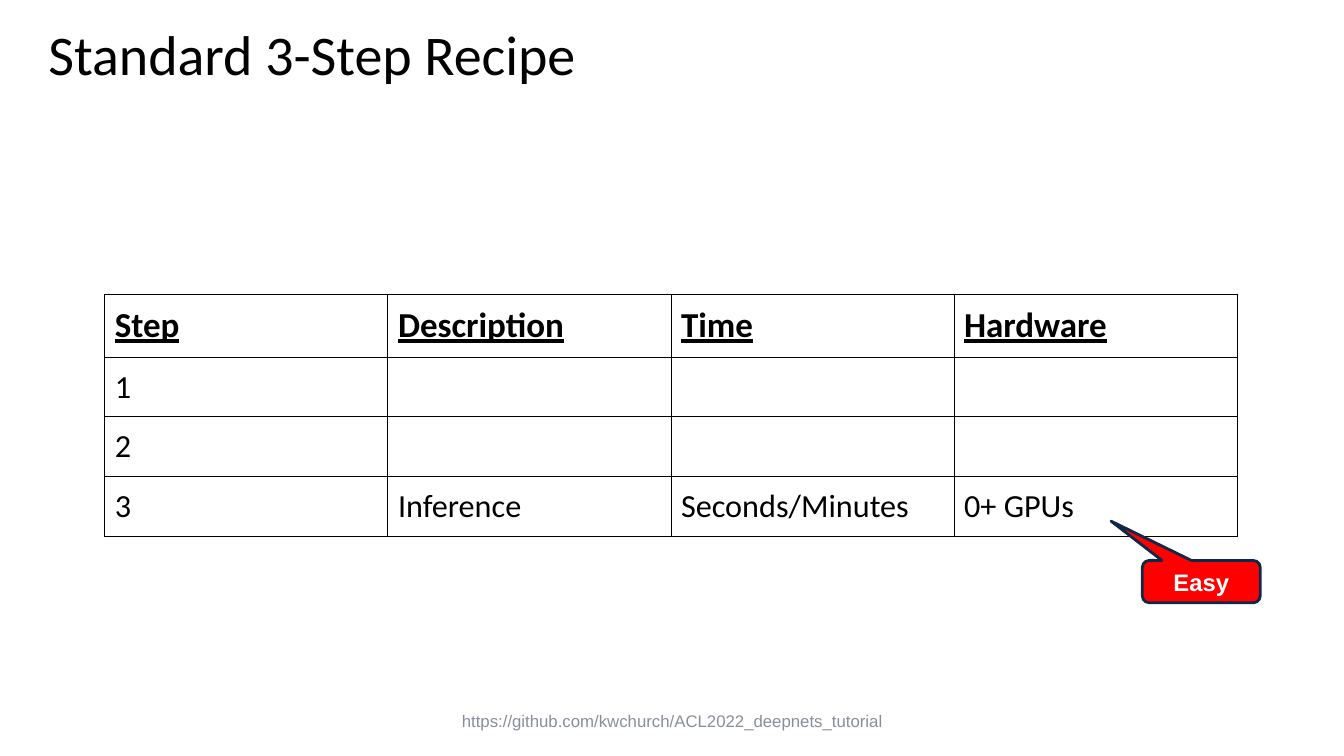
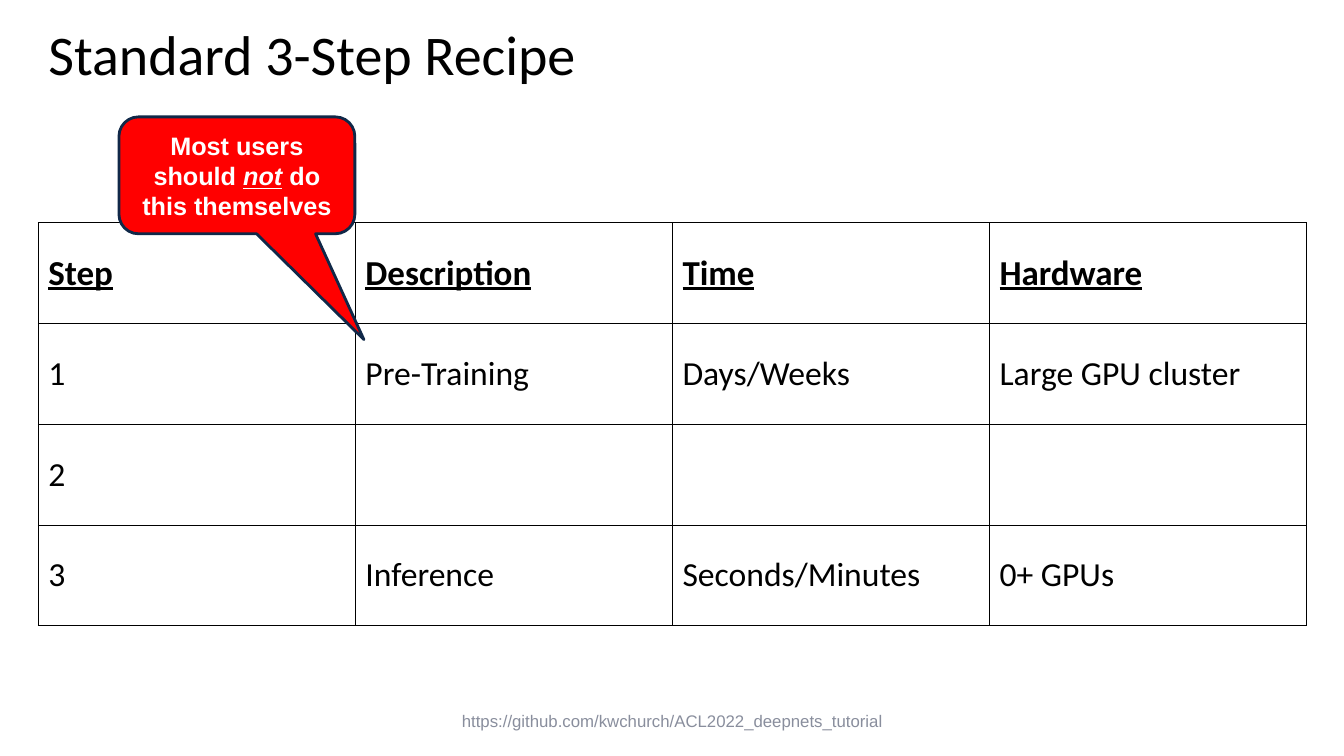
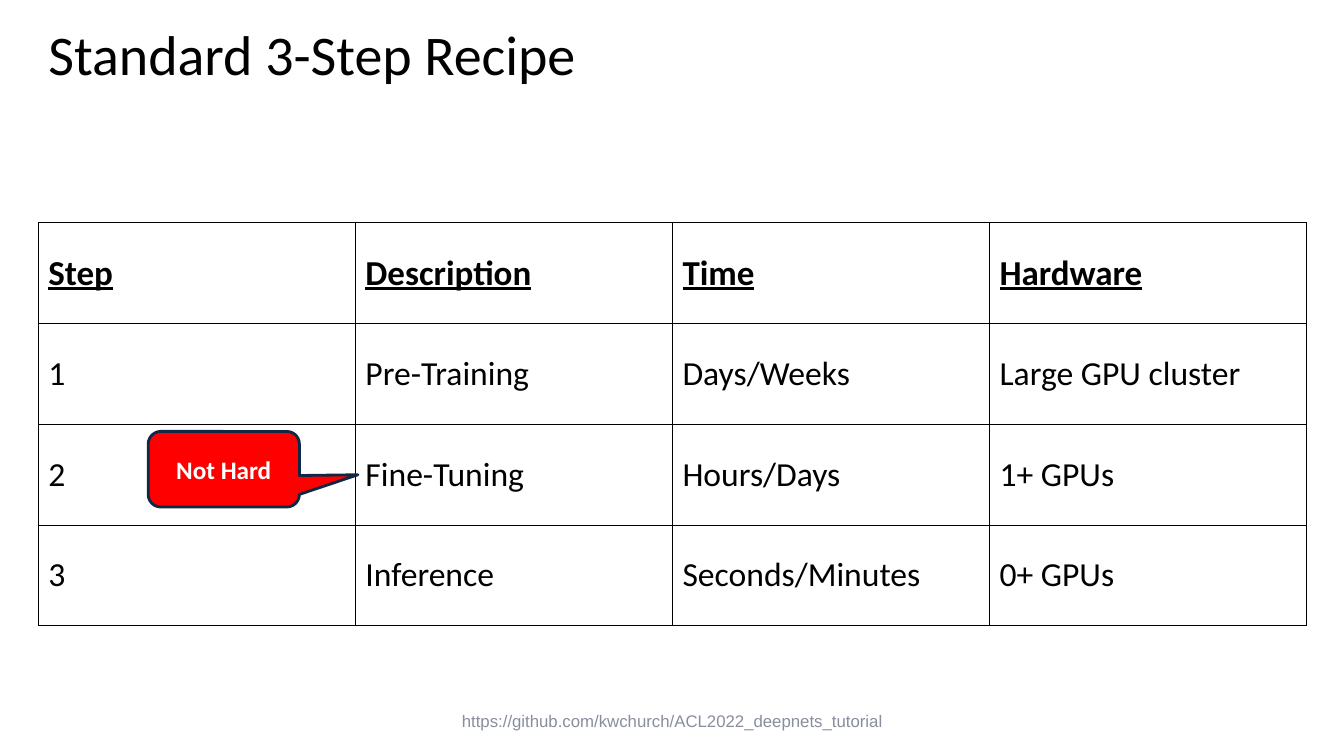
from lxml import etree
from pptx import Presentation
from pptx.dml.color import RGBColor
from pptx.enum import shapes, text
from pptx.oxml import ns
from pptx.util import Inches, Pt

COLORS = {"ink": "000000", "footer": "898E9D", "callout": "FF0000",
          "outline": "102848", "light": "FFFFFF"}
TITLE = "Standard 3-Step Recipe"
FOOTER = "https://github.com/kwchurch/ACL2022_deepnets_tutorial"
HEADER = ["Step", "Description", "Time", "Hardware"]
PRE_TRAINING = ["1", "Pre-Training", "Days/Weeks", "Large GPU cluster"]
FINE_TUNING = ["2", "Fine-Tuning", "Hours/Days", "1+ GPUs"]
INFERENCE = ["3", "Inference", "Seconds/Minutes", "0+ GPUs"]
TITLE_BOX = (0.38, 0.16, 12.58, 0.82)
FOOTER_BOX = (4.42, 6.95, 4.5, 0.4)
WIDE_TABLE = dict(box=(0.38, 2.21, 12.58, 4), header_height=1, size=24,
                  anchor=text.MSO_ANCHOR.MIDDLE)


def color(name):
    return RGBColor.from_string(COLORS[name])


def write(frame, words, size=18, font="Calibri", ink="ink", bold=False,
          underline=False, align=text.PP_ALIGN.LEFT, spacing=None):
    """Fill a frame; words is a string or a list of (string, emphasis) pairs."""
    para = frame.paragraphs[0]
    para.alignment = align
    if spacing:
        para.line_spacing = spacing
    spans = [(words, False)] if isinstance(words, str) else words
    for content, emphasis in spans:
        span = para.add_run()
        span.text = content
        span.font.size = Pt(size)
        span.font.name = font
        span.font.bold = bold
        span.font.italic = emphasis
        span.font.underline = underline or emphasis
        span.font.color.rgb = color(ink)


def set_frame(frame):
    frame.word_wrap = True
    frame.auto_size = text.MSO_AUTO_SIZE.NONE
    frame.vertical_anchor = text.MSO_ANCHOR.MIDDLE
    frame.margin_left = frame.margin_right = Inches(0.1)
    frame.margin_top = frame.margin_bottom = Inches(0.05)


def add_borders(cell, width=0.75):
    properties = cell._tc.get_or_add_tcPr()
    for index, side in enumerate(("a:lnL", "a:lnR", "a:lnT", "a:lnB")):
        line = etree.Element(ns.qn(side), w=str(Pt(width)))
        fill = etree.SubElement(line, ns.qn("a:solidFill"))
        etree.SubElement(fill, ns.qn("a:srgbClr"), val=COLORS["ink"])
        properties.insert(index, line)


def add_page(deck):
    """Start a page with the shared title and footer."""
    page = deck.slides.add_slide(deck.slide_layouts[5])
    title = page.shapes.title
    title.left, title.top, title.width, title.height = map(Inches, TITLE_BOX)
    set_frame(title.text_frame)
    write(title.text_frame, TITLE, size=40, spacing=0.9)

    footer = page.shapes.add_textbox(*map(Inches, FOOTER_BOX))
    set_frame(footer.text_frame)
    write(footer.text_frame, FOOTER, size=12, font="Arial", ink="footer",
          align=text.PP_ALIGN.CENTER)
    return page


def add_recipe(page, steps, box, header_height, size, anchor):
    """Table of steps; the rows below the header share the rest of the box."""
    rows = [HEADER] + steps
    table = page.shapes.add_table(len(rows), len(HEADER), *map(Inches, box)).table
    table.first_row = table.horz_banding = False
    step_height = (box[3] - header_height) / len(steps)
    for r, row in enumerate(rows):
        is_header = r == 0
        table.rows[r].height = Inches(header_height if is_header else step_height)
        for c, words in enumerate(row):
            cell = table.cell(r, c)
            cell.fill.background()
            add_borders(cell)
            cell.vertical_anchor = anchor
            cell.margin_left = cell.margin_right = Inches(0.1)
            cell.margin_top = cell.margin_bottom = Inches(0.1)
            if words:
                write(cell.text_frame, words, size=25 if is_header else size,
                      bold=is_header, underline=is_header)


def add_callout(page, words, box, tip, size=18, font="Arial"):
    """Rounded callout whose tail ends at the tip point."""
    left, top, width, height = box
    callout = page.shapes.add_shape(
        shapes.MSO_SHAPE.ROUNDED_RECTANGULAR_CALLOUT, *map(Inches, box))
    callout.adjustments[0] = (tip[0] - left) / width - 0.5
    callout.adjustments[1] = (tip[1] - top) / height - 0.5
    callout.shadow.inherit = False
    callout.fill.solid()
    callout.fill.fore_color.rgb = color("callout")
    callout.line.color.rgb = color("outline")
    callout.line.width = Pt(2)
    set_frame(callout.text_frame)
    write(callout.text_frame, words, size=size, font=font, ink="light",
          bold=True, align=text.PP_ALIGN.CENTER)


def add_inference_page(deck):
    page = add_page(deck)
    add_recipe(page, [["1", "", "", ""], ["2", "", "", ""], INFERENCE],
               box=(1.04, 2.92, 11.23, 2.39), header_height=0.62, size=23,
               anchor=text.MSO_ANCHOR.TOP)
    add_callout(page, "Easy", (11.33, 5.56, 1.17, 0.42), tip=(11.02, 5.17), size=17)


def add_pre_training_page(deck):
    page = add_page(deck)
    add_recipe(page, [PRE_TRAINING, ["2", "", "", ""], INFERENCE], **WIDE_TABLE)
    add_callout(page, [("Most users should ", False), ("not", True),
                       (" do this themselves", False)],
                (1.18, 1.16, 2.34, 1.16), tip=(3.61, 3.37))


def add_fine_tuning_page(deck):
    page = add_page(deck)
    add_recipe(page, [PRE_TRAINING, FINE_TUNING, INFERENCE], **WIDE_TABLE)
    add_callout(page, "Not Hard", (1.47, 4.28, 1.5, 0.75), tip=(3.55, 4.71),
                font="Calibri")


def main():
    deck = Presentation()
    deck.slide_width, deck.slide_height = Inches(13.33), Inches(7.5)
    add_inference_page(deck)
    add_pre_training_page(deck)
    add_fine_tuning_page(deck)
    deck.save("out.pptx")


if __name__ == "__main__":
    main()
